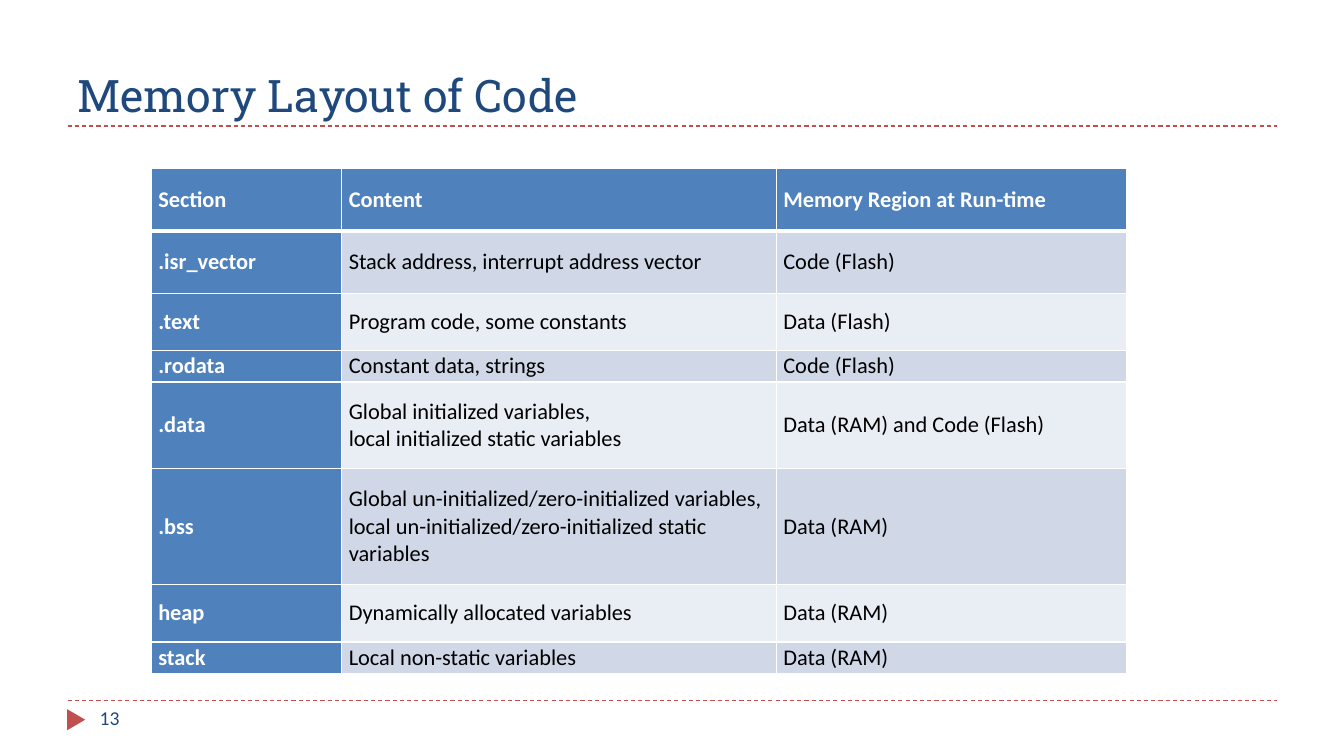
import pptx
import pptx.util
import pptx.dml.color
import pptx.enum.dml
import pptx.enum.shapes
import pptx.enum.text
from lxml import etree

TITLE = "Memory Layout of Code"
PAGE = "13"
ROWS = [
    ("Section", "Content", "Memory Region at Run-time"),
    (".isr_vector", "Stack address, interrupt address vector", "Code (Flash)"),
    (".text", "Program code, some constants", "Data (Flash)"),
    (".rodata", "Constant data, strings", "Code (Flash)"),
    (".data", "Global initialized variables,\nlocal initialized static variables",
     "Data (RAM) and Code (Flash)"),
    (".bss", "Global un-initialized/zero-initialized variables, "
     "local un-initialized/zero-initialized static variables", "Data (RAM)"),
    ("heap", "Dynamically allocated variables", "Data (RAM)"),
    ("stack", "Local non-static variables", "Data (RAM)"),
]
WIDTHS = [1.89, 4.31, 3.47]
HEIGHTS = [0.62, 0.62, 0.57, 0.31, 0.86, 1.15, 0.57, 0.31]
RULES = [1.25, 6.95]
COLORS = {"navy": "1F497D", "red": "C0504D", "blue": "4F81BD", "white": "FFFFFF",
          "black": "000000", "dark": "D0D8E8", "light": "E9EDF4"}

inch = pptx.util.Inches
Align = pptx.enum.text.PP_ALIGN
Anchor = pptx.enum.text.MSO_ANCHOR
Shape = pptx.enum.shapes.MSO_SHAPE
NS = "http://schemas.openxmlformats.org/drawingml/2006/main"


def color(name):
    return pptx.dml.color.RGBColor.from_string(COLORS[name])


def style(par, face, size, name, bold=False):
    par.font.name = face
    par.font.size = pptx.util.Pt(size)
    par.font.color.rgb = color(name)
    par.font.bold = bold


def label(slide, box, text, face, size, anchor):
    frame = slide.shapes.add_textbox(*map(inch, box)).text_frame
    frame.word_wrap = True
    frame.vertical_anchor = anchor
    frame.text = text
    style(frame.paragraphs[0], face, size, "navy")


def rule(slide, y):
    line = slide.shapes.add_connector(
        pptx.enum.shapes.MSO_CONNECTOR.STRAIGHT,
        inch(0.67), inch(y), inch(12.67), inch(y))
    line.line.color.rgb = color("red")
    line.line.width = pptx.util.Pt(0.75)
    line.line.dash_style = pptx.enum.dml.MSO_LINE.DASH
    etree.SubElement(line._element.spPr, f"{{{NS}}}effectLst")


def border(cell, row):
    props = cell._tc.get_or_add_tcPr()
    for side in "LRTB":
        thick = (row, side) in [(0, "B"), (1, "T")]
        width = pptx.util.Pt(3 if thick else 1)
        edge = etree.SubElement(props, f"{{{NS}}}ln{side}", w=str(int(width)))
        fill = etree.SubElement(edge, f"{{{NS}}}solidFill")
        etree.SubElement(fill, f"{{{NS}}}srgbClr", val=COLORS["white"])


def fill_cell(cell, row, col, text):
    head = row == 0 or col == 0
    border(cell, row)
    cell.fill.solid()
    cell.fill.fore_color.rgb = color("blue" if head else "dark" if row % 2 else "light")
    cell.margin_left = cell.margin_right = inch(0.07)
    cell.margin_top = cell.margin_bottom = 0
    cell.vertical_anchor = Anchor.MIDDLE
    cell.text = text
    for par in cell.text_frame.paragraphs:
        par.alignment = Align.LEFT if col == 1 else Align.JUSTIFY
        style(par, "Calibri", 16, "white" if head else "black", head)


def grid(slide):
    table = slide.shapes.add_table(
        len(ROWS), len(WIDTHS), inch(1.5), inch(1.67),
        inch(sum(WIDTHS)), inch(sum(HEIGHTS))).table
    for col, width in zip(table.columns, WIDTHS):
        col.width = inch(width)
    for row, height in zip(table.rows, HEIGHTS):
        row.height = inch(height)
    for row, texts in enumerate(ROWS):
        for col, text in enumerate(texts):
            fill_cell(table.cell(row, col), row, col, text)


def main():
    deck = pptx.Presentation()
    deck.slide_width, deck.slide_height = inch(13.33), inch(7.5)
    slide = deck.slides.add_slide(deck.slide_layouts[6])
    for y in RULES:
        rule(slide, y)
    mark = slide.shapes.add_shape(
        Shape.ISOSCELES_TRIANGLE, inch(0.65), inch(7.05), inch(0.21), inch(0.18))
    mark.rotation = 90
    mark.shadow.inherit = False
    mark.fill.solid()
    mark.fill.fore_color.rgb = color("red")
    mark.line.fill.background()
    label(slide, (0.67, 0.25, 12, 1), TITLE, "Roboto Slab", 32, Anchor.BOTTOM)
    label(slide, (0.89, 6.95, 2.89, 0.4), PAGE, "Calibri", 14, Anchor.TOP)
    grid(slide)
    deck.save("out.pptx")


if __name__ == "__main__":
    main()
